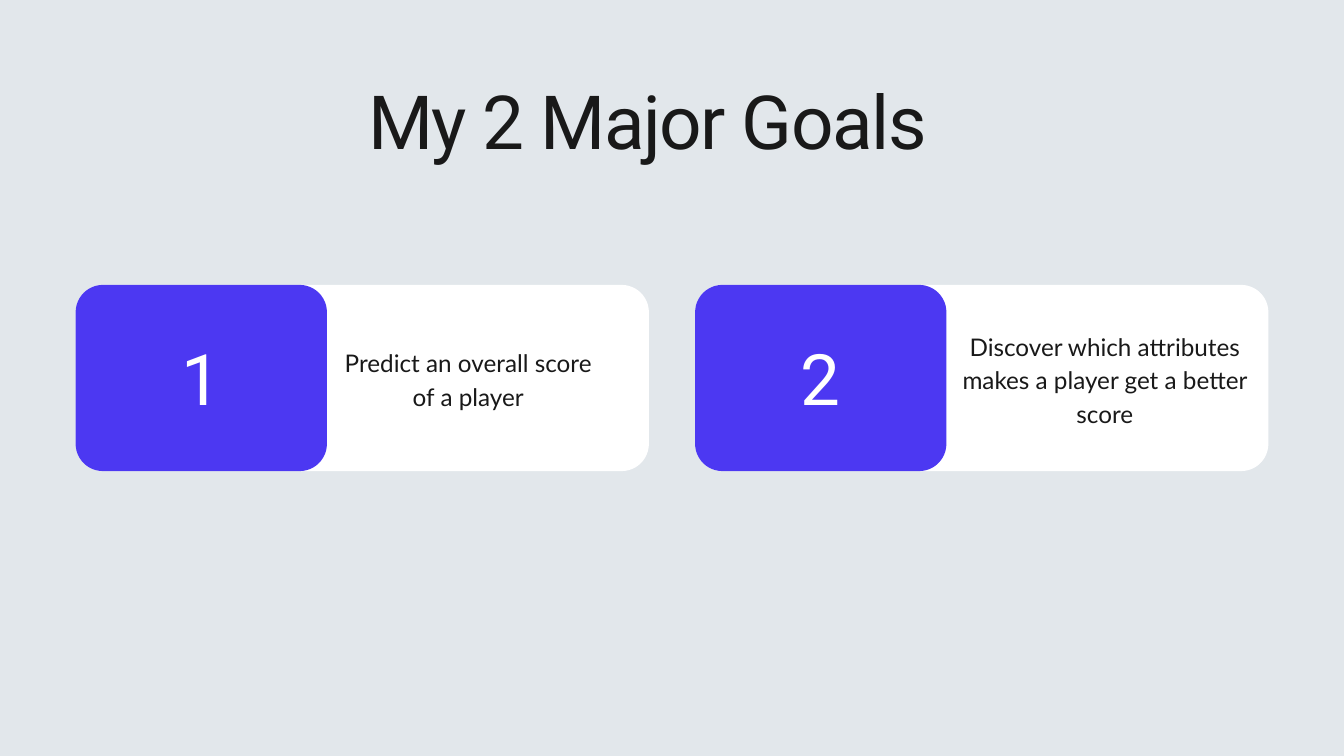
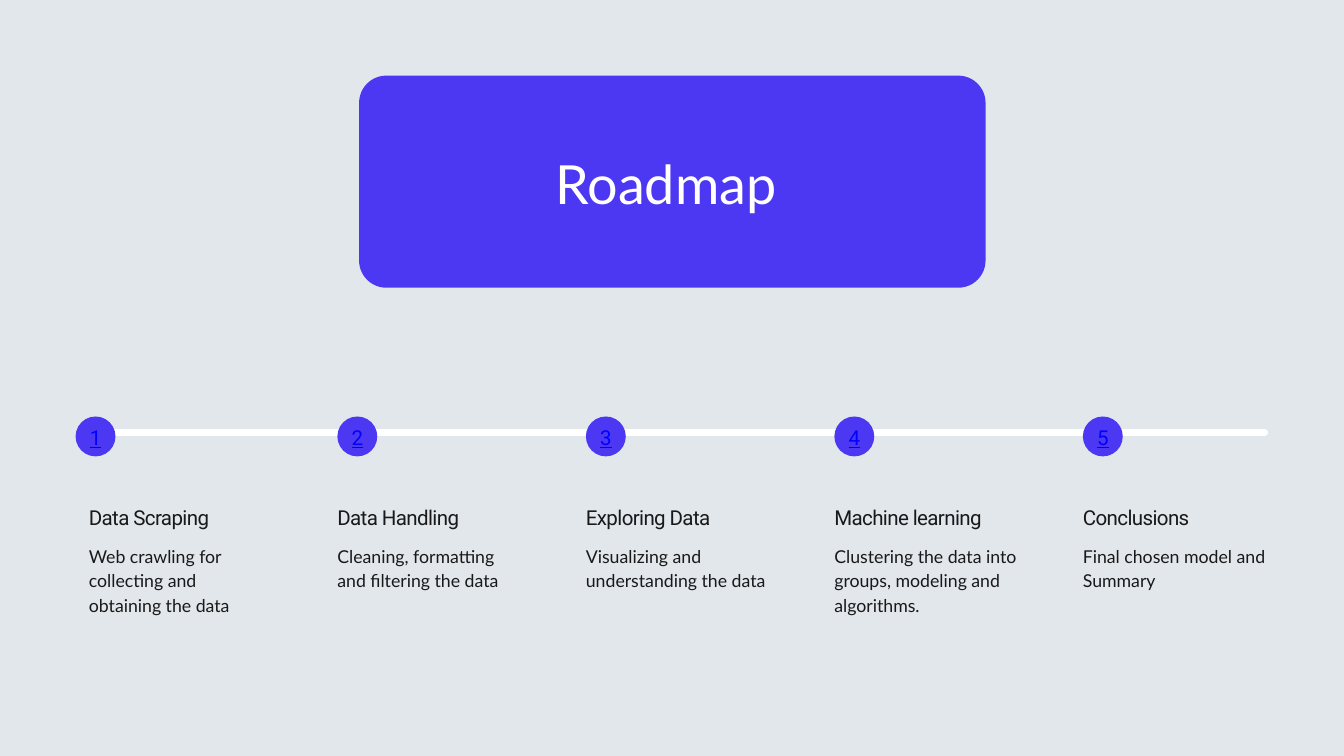
from lxml import etree
from pptx import Presentation
from pptx.dml.color import RGBColor
from pptx.enum.shapes import MSO_CONNECTOR, MSO_SHAPE
from pptx.enum.text import MSO_ANCHOR, MSO_AUTO_SIZE, PP_ALIGN
from pptx.oxml.ns import qn
from pptx.util import Pt

PX = 9525
ROUND, OVAL = MSO_SHAPE.ROUNDED_RECTANGLE, MSO_SHAPE.OVAL
LINE = MSO_CONNECTOR.STRAIGHT
TOP, FIXED = MSO_ANCHOR.TOP, MSO_AUTO_SIZE.NONE
LEFT, MID = PP_ALIGN.LEFT, PP_ALIGN.CENTER
PALE, WHITE, INK, BLUE, LINK = "E2E7EB", "FFFFFF", "191919", "4C38F2", "0000FF"
HEAD, BODY = "Roboto", "Lato"
CURVE = 39

hue = RGBColor.from_string


def draw(page, kind, x, y, w, h, tone):
    shape = page.shapes.add_shape(kind, x * PX, y * PX, w * PX, h * PX)
    shape.shadow.inherit = False
    shape.fill.solid()
    shape.fill.fore_color.rgb = hue(tone)
    shape.line.fill.background()
    if kind == ROUND:
        shape.adjustments[0] = CURVE / h
    return shape


def write(page, place, words, face, size, lead, tone, align=LEFT, track=0, title=False):
    x, y, w, h = [n * PX for n in place]
    if title:
        box = page.shapes.title
        box.left, box.top, box.width, box.height = x, y, w, h
    else:
        box = page.shapes.add_textbox(x, y, w, h)
    frame = box.text_frame
    frame.word_wrap = True
    frame.auto_size = FIXED
    frame.vertical_anchor = TOP
    frame.margin_left = frame.margin_right = frame.margin_top = frame.margin_bottom = 0
    para = frame.paragraphs[0]
    para.alignment = align
    para.line_spacing = Pt(lead)
    run = para.add_run()
    run.text = words
    run.font.name = face
    run.font.size = Pt(size)
    run.font.color.rgb = hue(tone)
    if track:
        run._r.get_or_add_rPr().set("spc", str(track))
    return run


deck = Presentation()
deck.slide_width, deck.slide_height = 1920 * PX, 1080 * PX
back = deck.slide_master.background.fill
back.solid()
back.fore_color.rgb = hue(PALE)
plan = deck.slide_layouts[5]

page = deck.slides.add_slide(plan)
write(page, (526, 107, 867, 129), "My 2 Major Goals", HEAD, 80, 96, INK, track=-160, title=True)

goals = [
    ("Predict an overall score of a player", (490, 491, 358, 94)),
    ("Discover which attributes makes a player get a better score", (1362, 467, 433, 142)),
]
for i, (goal, place) in enumerate(goals):
    x = 108 + 885 * i
    draw(page, ROUND, x, 407, 819, 266, WHITE)
    draw(page, ROUND, x, 407, 359, 266, BLUE)
    write(page, (x + 65, 478, 229, 122), str(i + 1), HEAD, 76, 91.2, WHITE, MID, -150)
    write(page, place, goal, BODY, 26, 36.4, INK, MID)

page = deck.slides.add_slide(plan)
panel = draw(page, ROUND, 513, 108, 895, 303, BLUE)
write(page, (568, 207, 767, 98), "Roadmap", BODY, 57.8, 75.2, WHITE, MID, title=True)
panel.element.addnext(page.shapes.title.element)

track = page.shapes.add_connector(LINE, 124 * PX, 618 * PX, 1807 * PX, 618 * PX)
track.line.color.rgb = hue(WHITE)
track.line.width = Pt(6.75)
props = track.element.spPr
props.get_or_add_ln().set("cap", "rnd")
etree.SubElement(props, qn("a:effectLst"))

steps = [
    ("Data Scraping", "Web crawling for collecting and obtaining the data"),
    ("Data Handling", "Cleaning, formatting and filtering the data"),
    ("Exploring Data", "Visualizing and understanding the data"),
    ("Machine learning", "Clustering the data into groups, modeling and algorithms."),
    ("Conclusions", "Final chosen model and Summary"),
]
for i, (step, note) in enumerate(steps):
    x = 127 + 355 * i
    dot = x if i else 108
    draw(page, OVAL, dot, 595, 57, 57, BLUE)
    mark = write(page, (dot + 9, 604, 39, 37), str(i + 1), HEAD, 22, 28.6, LINK, MID, -66)
    mark.font.underline = True
    write(page, (x, 718, 262, 37), step, HEAD, 22, 28.6, INK, track=-66)
    write(page, (x, 774, 262, 103), note, BODY, 19, 26.6, INK)

deck.save("out.pptx")
